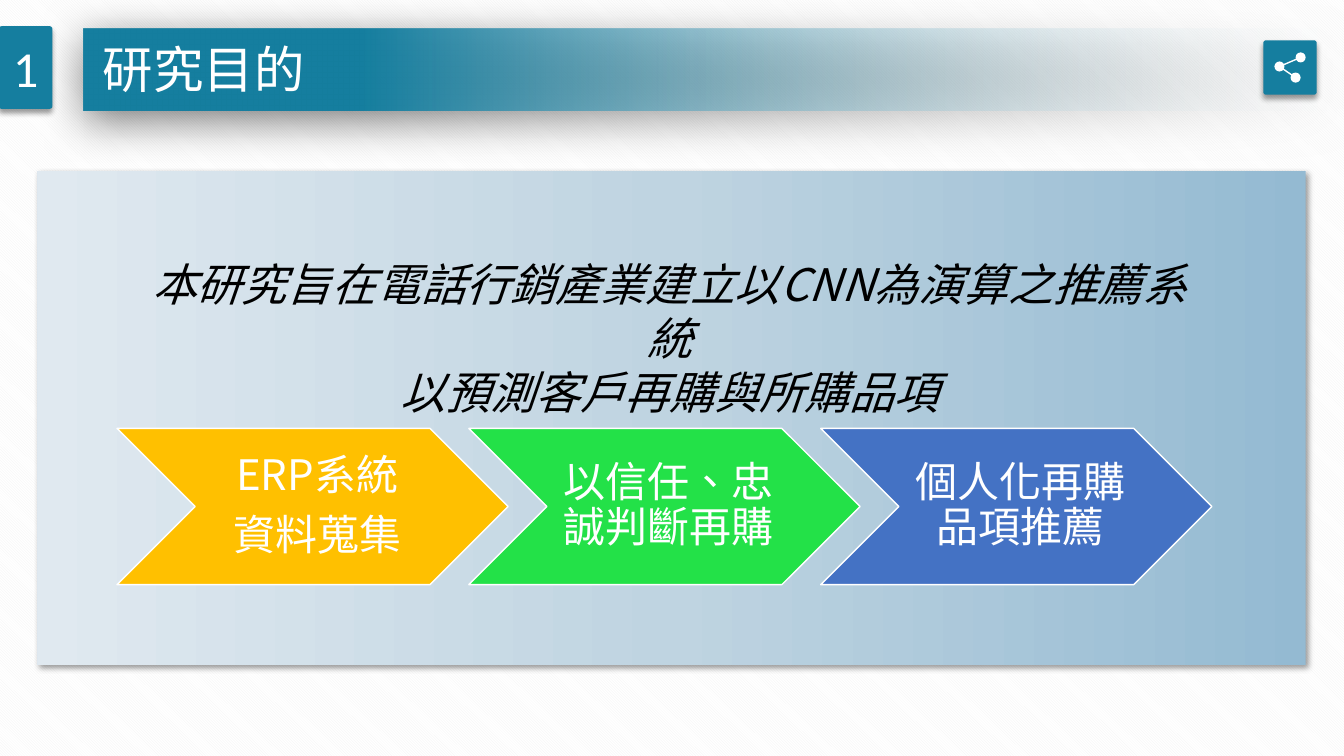
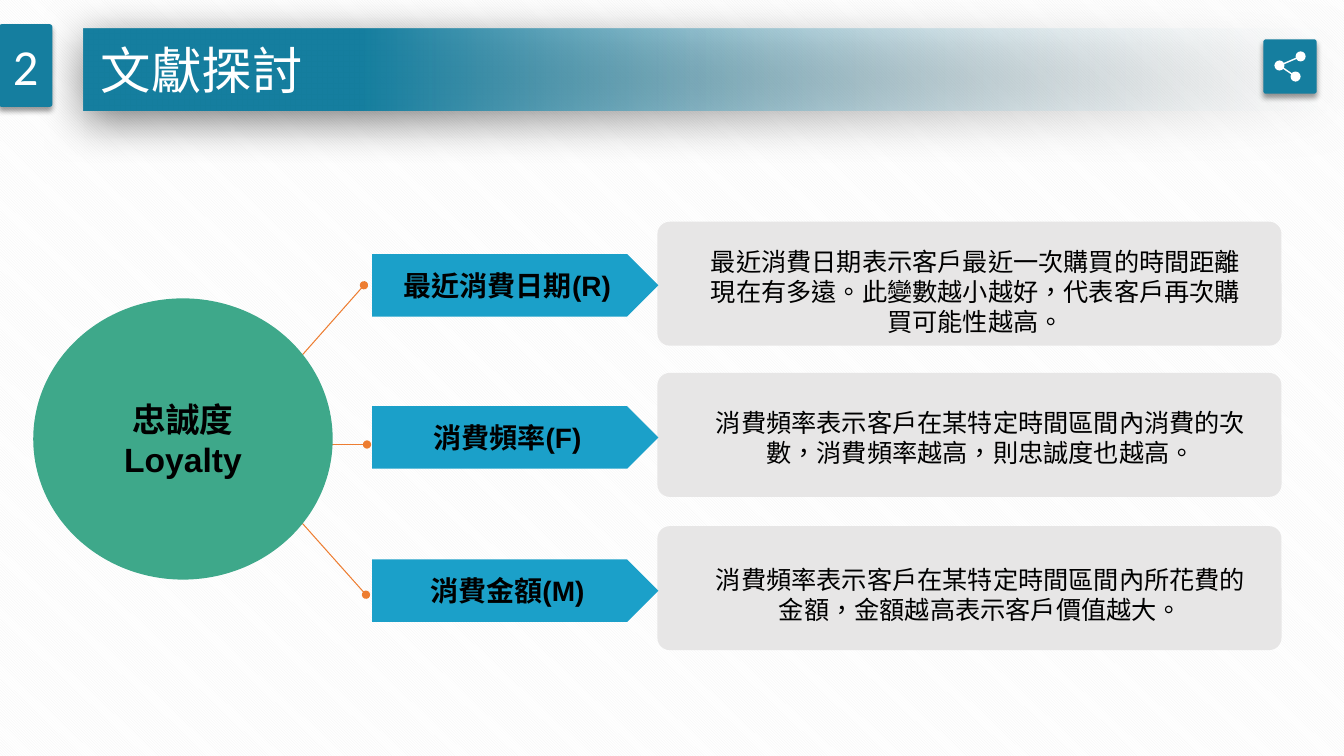
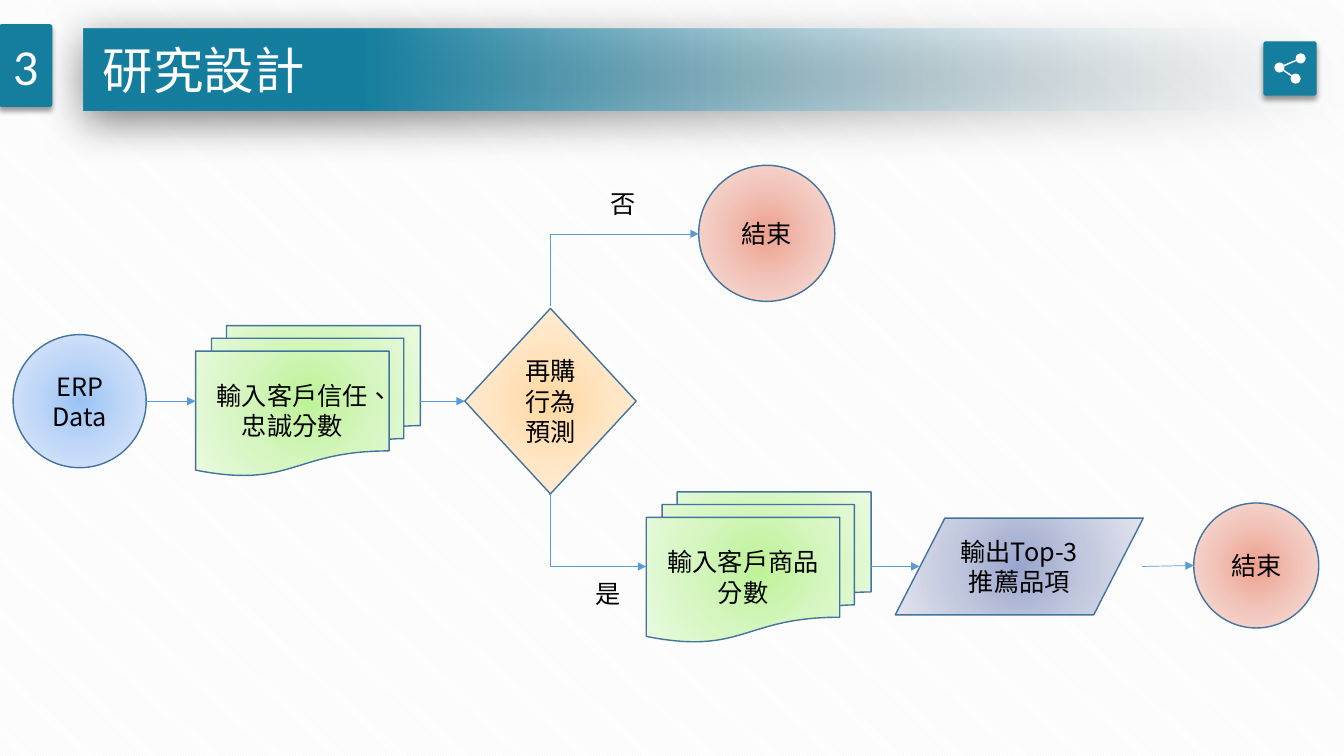
import dataclasses
import typing

import lxml.etree
import pptx
import pptx.dml.color
import pptx.enum.dml
import pptx.enum.lang
import pptx.enum.shapes
import pptx.enum.text
import pptx.oxml.ns
import pptx.shapes.autoshape
import pptx.shapes.base
import pptx.slide
import pptx.util

Inches = pptx.util.Inches
Pt = pptx.util.Pt
qn = pptx.oxml.ns.qn
Kind = pptx.enum.shapes.MSO_SHAPE
Wire = pptx.enum.shapes.MSO_CONNECTOR
Align = pptx.enum.text.PP_ALIGN
Anchor = pptx.enum.text.MSO_ANCHOR
Fit = pptx.enum.text.MSO_AUTO_SIZE
Slide = pptx.slide.Slide
Shape = pptx.shapes.autoshape.Shape
Box = tuple[float, float, float, float]
Point = tuple[float, float]


class Stop(typing.NamedTuple):
    pos: int
    ink: str
    alpha: int = 100


class Shade(typing.NamedTuple):
    alpha: int
    blur: int
    dist: int
    angle: int


class Look(typing.NamedTuple):
    size: float
    ink: str
    name: str = "Noto Sans CJK SC"
    bold: bool = False
    italic: bool = False


def glow(*inks: str) -> list[Stop]:
    return [Stop(pos, ink) for pos, ink in zip((0, 50, 100), inks)]


@dataclasses.dataclass(frozen=True)
class Theme:
    white: str = "FFFFFF"
    stripe: str = "F2F2F2"
    teal: str = "157E9F"
    card: str = "E7E6E6"
    pill: str = "1BA0C9"
    green: str = "3EA88A"
    spoke: str = "ED7D31"
    edge: str = "43739E"
    arrow: str = "5B9BD5"
    cjk: str = "Noto Sans CJK SC"
    title: Look = Look(36, "FFFFFF")
    count: Look = Look(36, "FFFFFF", "Calibri")
    aim: Look = Look(32, "000000", italic=True)
    step: Look = Look(30, "FFFFFF")
    hub: Look = Look(24, "000000", "Arial", True)
    term: Look = Look(20, "000000", "Arial", True)
    note: Look = Look(18, "000000")
    band: tuple = (Stop(0, "F7FAFD", 0), Stop(78, "157E9F"))
    panel: tuple = tuple(glow("94BAD2", "BFD4E1", "E0E9F0"))
    blue: tuple = tuple(glow("9AC3F5", "C2D8F8", "E1EBFB"))
    lime: tuple = tuple(glow("BEF297", "D5F6C0", "EAFAE0"))
    gold: tuple = tuple(glow("FFD8A0", "FFE6C5", "FFF2E3"))
    rose: tuple = tuple(glow("EDA08E", "F2C5BB", "F8E3DE"))
    slate: tuple = tuple(glow("99A5CC", "C2C8DE", "E1E4EE"))
    deep: Shade = Shade(50, 31, 6, 97)
    lift: Shade = Shade(40, 4, 3, 90)
    side: Shade = Shade(40, 4, 3, 45)


THEME = Theme()


class Head(typing.NamedTuple):
    count: str
    title: str
    left: float
    top: float
    tag: float
    icon: float


class Step(typing.NamedTuple):
    text: str
    ink: str


class Row(typing.NamedTuple):
    term: str
    note: str
    top: float
    pill: float
    left: float
    drop: float
    spoke: tuple[Point, Point]


class Node(typing.NamedTuple):
    kind: Kind
    box: Box
    inks: tuple
    text: str


class Link(typing.NamedTuple):
    start: Point
    end: Point
    kind: Wire = Wire.STRAIGHT


def put(target: typing.Any, values: dict) -> None:
    for key, value in values.items():
        setattr(target, key, value)


def rgb(ink: str) -> pptx.dml.color.RGBColor:
    return pptx.dml.color.RGBColor.from_string(ink)


def add(parent: typing.Any, tag: str, **values: typing.Any) -> typing.Any:
    return lxml.etree.SubElement(parent, qn(tag), {k: str(v) for k, v in values.items()})


def tint(parent: typing.Any, ink: str, alpha: int) -> None:
    color = add(parent, "a:srgbClr", val=ink)
    if alpha < 100:
        add(color, "a:alpha", val=alpha * 1000)


def blend(shape: Shape, stops: typing.Iterable[Stop], round_: bool) -> None:
    shape.fill.gradient()
    grad = shape.element.spPr.find(qn("a:gradFill"))
    for child in list(grad):
        grad.remove(child)
    group = add(grad, "a:gsLst")
    for stop in stops:
        tint(add(group, "a:gs", pos=stop.pos * 1000), stop.ink, stop.alpha)
    if round_:
        ring = add(grad, "a:path", path="circle")
        add(ring, "a:fillToRect", l=50000, t=50000, r=50000, b=50000)
    else:
        add(grad, "a:lin", ang=180 * 60000, scaled=0)


def cast(shape: Shape, shade: Shade) -> None:
    holder = shape.element.spPr.find(qn("a:effectLst"))
    outer = add(holder, "a:outerShdw", blurRad=Pt(shade.blur), dist=Pt(shade.dist),
                dir=shade.angle * 60000, algn="ctr", rotWithShape=0)
    tint(outer, "000000", shade.alpha)


def draw(slide: Slide, kind: Kind, box: Box, fill: str | tuple, edge: str = "",
         shade: Shade | None = None, round_: bool = False, bend: float | None = None) -> Shape:
    shape = slide.shapes.add_shape(kind, *map(Inches, box))
    shape.shadow.inherit = False
    if isinstance(fill, str):
        shape.fill.solid()
        shape.fill.fore_color.rgb = rgb(fill)
    else:
        blend(shape, fill, round_)
    if edge:
        shape.line.color.rgb = rgb(edge)
        shape.line.width = Pt(1)
    else:
        shape.line.fill.background()
    if shade:
        cast(shape, shade)
    if bend is not None:
        shape.adjustments[0] = bend
    return shape


def write(shape: Shape, text: str, look: Look, frame: dict | None = None,
          para: dict | None = None) -> None:
    body = shape.text_frame
    body.text = text
    put(body, {"word_wrap": True, "vertical_anchor": Anchor.MIDDLE,
               "margin_left": Inches(0.1), "margin_right": Inches(0.1),
               "margin_top": Inches(0.05), "margin_bottom": Inches(0.05)} | (frame or {}))
    for line in body.paragraphs:
        put(line, {"alignment": Align.CENTER} | (para or {}))
        for run in line.runs:
            put(run.font, {"size": Pt(look.size), "name": look.name, "bold": look.bold,
                           "italic": look.italic,
                           "language_id": pptx.enum.lang.MSO_LANGUAGE_ID.TRADITIONAL_CHINESE})
            run.font.color.rgb = rgb(look.ink)
    for props in shape.element.iter(qn("a:rPr")):
        add(props, "a:ea", typeface=THEME.cjk)


def join(slide: Slide, link: Link, ink: str, width: float, head: str = "", tail: str = "") -> None:
    wire = slide.shapes.add_connector(link.kind, *map(Inches, (*link.start, *link.end)))
    wire.line.color.rgb = rgb(ink)
    wire.line.width = Pt(width)
    props = wire.element.spPr
    for tag, tip in (("a:headEnd", head), ("a:tailEnd", tail)):
        if tip:
            add(props.find(qn("a:ln")), tag, type=tip)
    if link.kind == Wire.ELBOW:
        add(props.find(qn("a:prstGeom")).find(qn("a:avLst")), "a:gd", name="adj1", fmla="val 800")
    add(props, "a:effectLst")


def share(slide: Slide, top: float) -> None:
    draw(slide, Kind.ROUNDED_RECTANGLE, (12.53, top, 0.53, 0.54), THEME.teal,
         shade=THEME.lift, bend=0.05)
    hub, *ends = [(12.69, top + 0.26), (12.9, top + 0.17), (12.85, top + 0.37)]
    for end in ends:
        join(slide, Link(hub, end), THEME.white, 1)
    for x, y in (hub, *ends):
        draw(slide, Kind.OVAL, (x - 0.05, y - 0.05, 0.1, 0.1), THEME.white)


def start(deck: typing.Any, head: Head) -> Slide:
    slide = deck.slides.add_slide(deck.slide_layouts[5])
    draw(slide, Kind.RECTANGLE, (0.83, 0.28, 12.5, 0.82), THEME.band, shade=THEME.deep)
    tag = draw(slide, Kind.ROUNDED_RECTANGLE, (-0.01, head.tag, 0.53, 0.82), THEME.teal,
               shade=THEME.lift, bend=0.05)
    write(tag, head.count, THEME.count)
    title = slide.shapes.title
    put(title, {"left": Inches(head.left), "top": Inches(head.top),
                "width": Inches(2.22), "height": Inches(0.71)})
    write(title, head.title, THEME.title,
          {"word_wrap": False, "vertical_anchor": Anchor.TOP,
           "auto_size": Fit.SHAPE_TO_FIT_TEXT})
    title.element.getparent().append(title.element)
    share(slide, head.icon)
    return slide


def goals(deck: typing.Any) -> None:
    slide = start(deck, Head("1", "研究目的", 0.91, 0.33, 0.26, 0.4))
    draw(slide, Kind.RECTANGLE, (0.37, 1.7, 12.58, 4.9), THEME.panel, shade=THEME.side)
    steps = [
        Step("ERP系統\n資料蒐集", "FFC000"),
        Step("以信任、忠誠判斷再購", "23E148"),
        Step("個人化再購品項推薦", "4472C4"),
    ]
    for i, step in enumerate(steps):
        arrow = draw(slide, Kind.CHEVRON, (1.16 + 3.49 * i, 4.25, 3.88, 1.55),
                     step.ink, THEME.white)
        write(arrow, step.text, THEME.step,
              {"margin_left": Inches(0.13), "margin_right": Inches(0.04),
               "margin_top": Inches(0.04), "margin_bottom": Inches(0.04)},
              {"line_spacing": 0.9, "space_after": Pt(10.5)})
    aim = slide.shapes.add_textbox(*map(Inches, (1.27, 2.5, 10.75, 1.72)))
    write(aim, "本研究旨在電話行銷產業建立以CNN為演算之推薦系統\n以預測客戶再購與所購品項",
          THEME.aim, {"vertical_anchor": Anchor.TOP})


def review(deck: typing.Any) -> None:
    slide = start(deck, Head("2", "文獻探討", 0.89, 0.34, 0.24, 0.39))
    rows = [
        Row("最近消費日期(R)",
            "最近消費日期表示客戶最近一次購買的時間距離現在有多遠。此變數越小越好，代表客戶再次購買可能性越高。",
            2.2, 2.52, 0.39, 0.2, ((2.39, 4.21), (3.61, 2.83))),
        Row("消費頻率(F)",
            "消費頻率表示客戶在某特定時間區間內消費的次數，消費頻率越高，則忠誠度也越高。",
            3.7, 4.03, 0.49, 0.1, ((2.25, 4.41), (3.64, 4.41))),
        Row("消費金額(M)",
            "消費頻率表示客戶在某特定時間區間內所花費的金額，金額越高表示客戶價值越大。",
            5.22, 5.55, 0.49, 0.18, ((2.4, 4.52), (3.63, 5.9))),
    ]
    for row in rows:
        card = draw(slide, Kind.ROUNDED_RECTANGLE, (6.52, row.top, 6.19, 1.23),
                    THEME.card, bend=0.1)
        write(card, row.note, THEME.note,
              {"margin_left": Inches(row.left), "margin_right": Inches(0.27),
               "margin_top": Inches(row.drop)})
        pill = draw(slide, Kind.PENTAGON, (3.69, row.pill, 2.84, 0.62), THEME.pill, bend=0.5)
        write(pill, row.term, THEME.term)
        join(slide, Link(*row.spoke), THEME.spoke, 0.75, "oval", "oval")
    hub = draw(slide, Kind.OVAL, (0.33, 2.96, 2.97, 2.79), THEME.green)
    write(hub, "忠誠度\nLoyalty", THEME.hub)


def design(deck: typing.Any) -> None:
    slide = start(deck, Head("3", "研究設計", 0.91, 0.34, 0.24, 0.41))
    nodes = [
        Node(Kind.OVAL, (0.13, 3.32, 1.32, 1.32), THEME.blue, "ERP\nData"),
        Node(Kind.FLOWCHART_MULTIDOCUMENT, (1.94, 3.23, 2.23, 1.49), THEME.lime,
             "輸入客戶信任、忠誠分數"),
        Node(Kind.DIAMOND, (4.61, 3.06, 1.7, 1.84), THEME.gold, "再購行為預測"),
        Node(Kind.OVAL, (6.93, 1.64, 1.35, 1.35), THEME.rose, "結束"),
        Node(Kind.FLOWCHART_MULTIDOCUMENT, (6.41, 4.88, 2.23, 1.49), THEME.lime,
             "輸入客戶商品分數"),
        Node(Kind.FLOWCHART_DATA, (8.88, 5.14, 2.46, 0.96), THEME.slate, "輸出Top-3\n推薦品項"),
        Node(Kind.OVAL, (11.84, 4.99, 1.24, 1.24), THEME.rose, "結束"),
    ]
    for node in nodes:
        shape = draw(slide, node.kind, node.box, node.inks, THEME.edge, round_=True)
        write(shape, node.text, THEME.note)
    links = [
        Link((1.45, 3.98), (1.94, 3.98)),
        Link((4.17, 3.98), (4.61, 3.98)),
        Link((5.45, 3.03), (6.93, 2.32), Wire.ELBOW),
        Link((5.45, 4.9), (6.41, 5.62), Wire.ELBOW),
        Link((8.63, 5.62), (9.12, 5.62)),
        Link((11.33, 5.62), (11.84, 5.61)),
    ]
    for link in links:
        join(slide, link, THEME.arrow, 0.5, tail="triangle")
    for text, left, top in (("否", 5.96, 1.82), ("是", 5.81, 5.69)):
        label = slide.shapes.add_textbox(*map(Inches, (left, top, 0.45, 0.4)))
        write(label, text, THEME.note,
              {"word_wrap": False, "vertical_anchor": Anchor.TOP,
               "auto_size": Fit.SHAPE_TO_FIT_TEXT}, {"alignment": Align.LEFT})


def main() -> None:
    deck = pptx.Presentation()
    put(deck, {"slide_width": Inches(13.33), "slide_height": Inches(7.5)})
    back = deck.slide_master.background.fill
    back.patterned()
    back.pattern = pptx.enum.dml.MSO_PATTERN.DARK_DOWNWARD_DIAGONAL
    back.fore_color.rgb = rgb(THEME.stripe)
    back.back_color.rgb = rgb(THEME.white)
    for build in (goals, review, design):
        build(deck)
    deck.save("out.pptx")


if __name__ == "__main__":
    main()
